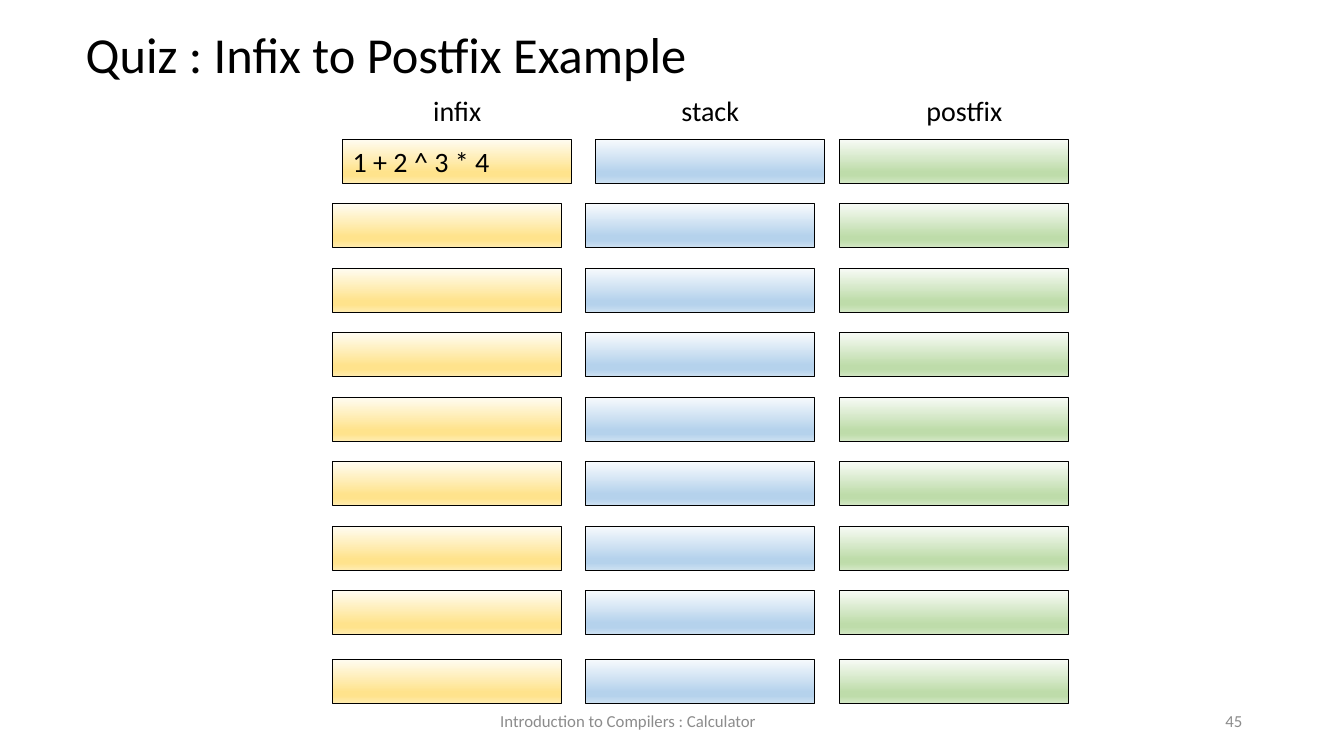
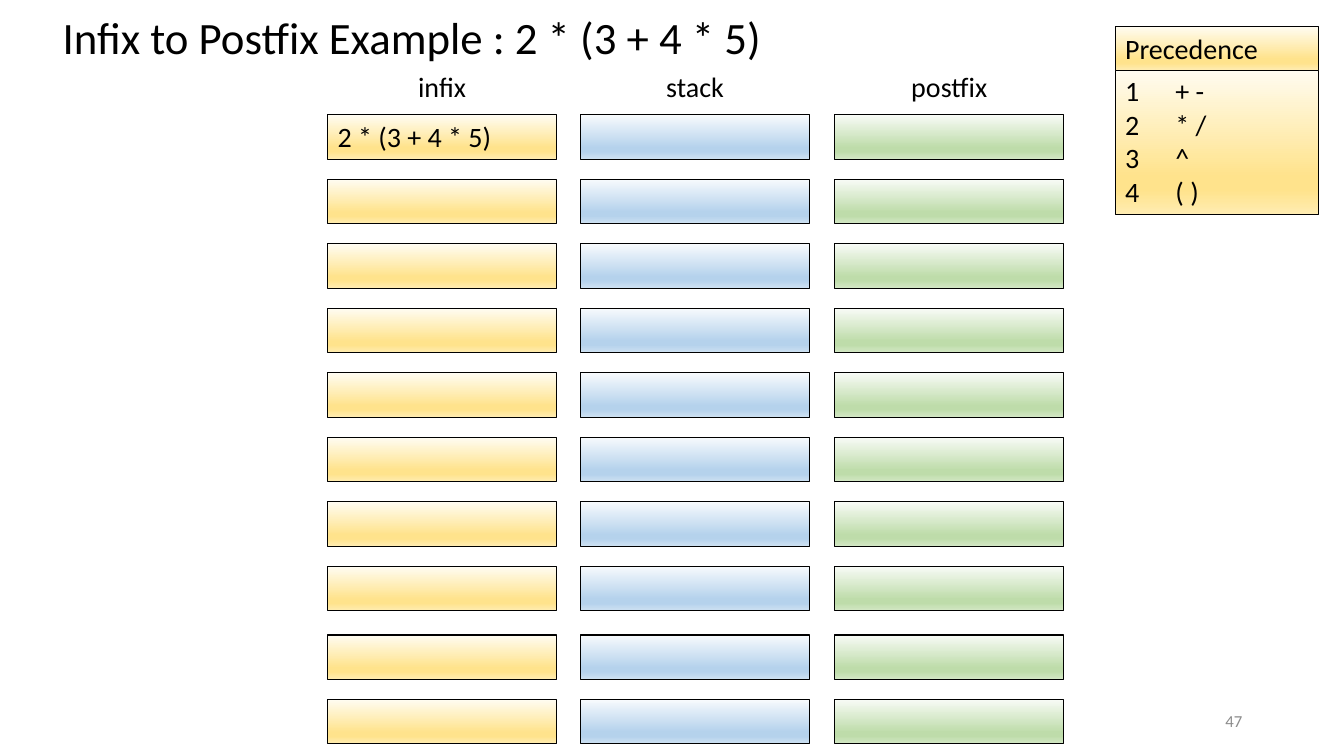
from lxml import etree
from pptx import Presentation
from pptx.dml.color import RGBColor
from pptx.enum import shapes, text
from pptx.oxml import ns
from pptx.util import Inches, Pt

FONT = "Calibri"
BLACK = RGBColor(0x00, 0x00, 0x00)
GRAY = RGBColor(0x8C, 0x8C, 0x8C)

# Gradient colours at the top, band and bottom of a box
GOLD = [RGBColor(0xFF, 0xFC, 0xF2), RGBColor(0xFF, 0xE3, 0x8C), RGBColor(0xFF, 0xEC, 0xB2)]
BLUE = [RGBColor(0xF7, 0xFA, 0xFD), RGBColor(0xB5, 0xD2, 0xEC), RGBColor(0xCE, 0xE1, 0xF2)]
GREEN = [RGBColor(0xF8, 0xFB, 0xF6), RGBColor(0xBE, 0xDC, 0xAA), RGBColor(0xD4, 0xE8, 0xC6)]

COLUMNS = [("infix", 0, GOLD), ("stack", 2.51, BLUE), ("postfix", 5.03, GREEN)]
CELL_W, CELL_H = 2.27, 0.44
PITCH = 0.64
HEAD_GAP = 0.5
LATE_ROW, LATE_GAP = 8, 0.04

LEFT, CENTER, RIGHT = text.PP_ALIGN.LEFT, text.PP_ALIGN.CENTER, text.PP_ALIGN.RIGHT
TOP, MIDDLE = text.MSO_ANCHOR.TOP, text.MSO_ANCHOR.MIDDLE


def write(shape, lines, size=20, color=BLACK, align=LEFT, anchor=TOP):
    frame = shape.text_frame
    frame.word_wrap = True
    frame.auto_size = text.MSO_AUTO_SIZE.NONE
    frame.vertical_anchor = anchor
    frame.text = "\n".join(lines)
    for para in frame.paragraphs:
        para.alignment = align
        para.font.name = FONT
        para.font.size = Pt(size)
        para.font.color.rgb = color


def label(slide, box, words, **style):
    write(slide.shapes.add_textbox(*map(Inches, box)), [words], **style)


def shade(shape, colors):
    """Fill a shape from top to bottom with a four-stop gradient."""
    top, band, end = colors
    shape.fill.gradient()
    shape.fill.gradient_angle = 270
    stops = shape.element.spPr.find(".//" + ns.qn("a:gsLst"))
    for stop in list(stops):
        stops.remove(stop)
    for place, color in [(0, top), (74, band), (83, band), (100, end)]:
        stop = etree.SubElement(stops, ns.qn("a:gs"), pos=str(place * 1000))
        etree.SubElement(stop, ns.qn("a:srgbClr"), val=str(color))


def panel(slide, box, colors, lines=()):
    shape = slide.shapes.add_shape(shapes.MSO_SHAPE.RECTANGLE, *map(Inches, box))
    shape.shadow.inherit = False
    shade(shape, colors)
    shape.line.color.rgb = BLACK
    shape.line.width = Pt(0.75)
    if lines:
        write(shape, lines)


def head(slide, box, words, size):
    title = slide.shapes.title
    title.left, title.top, title.width, title.height = map(Inches, box)
    write(title, [words], size)


def foot(slide, number, words=None):
    if words:
        label(slide, (3.98, 6.95, 4.5, 0.4), words,
              size=12, color=GRAY, align=CENTER, anchor=MIDDLE)
    label(slide, (9.42, 6.95, 3, 0.4), number,
          size=12, color=GRAY, align=RIGHT, anchor=MIDDLE)


def grid(slide, left, top, rows, infix, nudge=0):
    """Draw the trace; nudge moves the headings and first infix and stack cells."""
    for name, dx, colors in COLUMNS:
        label(slide, (left + dx + nudge, top - HEAD_GAP, CELL_W, CELL_H), name, align=CENTER)
        for row in range(rows):
            x = left + dx + (nudge if row == 0 and name != "postfix" else 0)
            y = top + row * PITCH + (LATE_GAP if row >= LATE_ROW else 0)
            lines = [infix] if row == 0 and name == "infix" else []
            panel(slide, (x, y, CELL_W, CELL_H), colors, lines)


def ranks(slide, left, top, width):
    panel(slide, (left, top + 0.42, width, 1.45), GOLD,
          ["1\t+ -", "2\t* /", "3\t^", "4\t( )"])
    panel(slide, (left, top, width, CELL_H), GOLD, ["Precedence"])


def quiz(slide):
    head(slide, (0.75, 0.18, 9.06, 0.71), "Quiz : Infix to Postfix Example", 36)
    foot(slide, "45", "Introduction to Compilers : Calculator")
    grid(slide, 3.3, 1.38, 9, "1 + 2 ^ 3 * 4", nudge=0.1)


def sample(slide):
    head(slide, (0.52, 0.05, 9.06, 0.64), "Infix to Postfix Example : 2 * (3 + 4 * 5)", 32)
    foot(slide, "47")
    grid(slide, 3.25, 1.14, 10, "2 * (3 + 4 * 5)")
    ranks(slide, 11.06, 0.26, 2.02)


def main():
    deck = Presentation()
    deck.slide_width, deck.slide_height = Inches(13.33), Inches(7.5)
    for build in (quiz, sample):
        build(deck.slides.add_slide(deck.slide_layouts[5]))
    deck.save("out.pptx")


if __name__ == "__main__":
    main()
